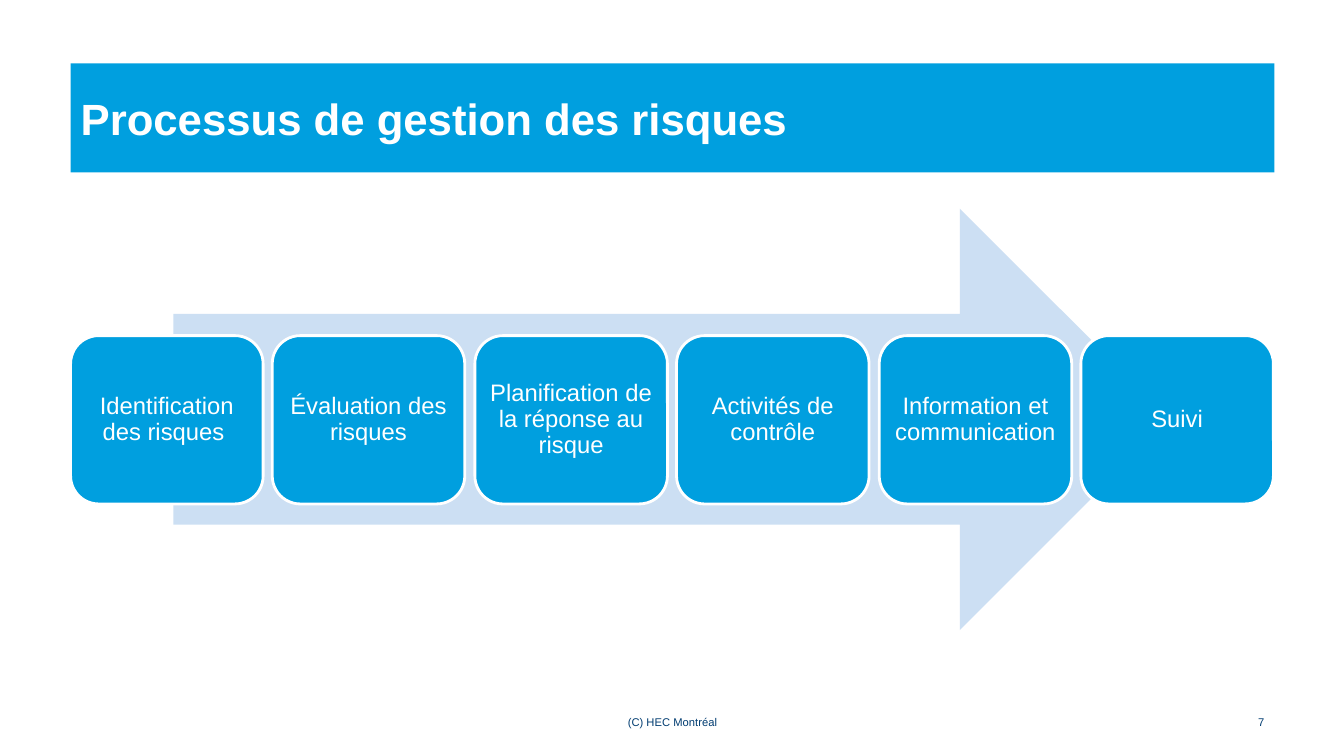
"""Build the risk management process slide."""
from dataclasses import dataclass

from pptx import Presentation
from pptx.dml.color import RGBColor
from pptx.enum.shapes import MSO_SHAPE
from pptx.enum.text import MSO_ANCHOR, MSO_AUTO_SIZE, PP_ALIGN
from pptx.shapes.autoshape import Shape
from pptx.slide import Slide
from pptx.util import Emu, Pt

EMU_PER_PX = 9144
COLORS = {"blue": "009FDF", "pale": "CCDFF3", "white": "FFFFFF", "navy": "003C71"}
STEPS = (
    "Identification des risques ",
    "Évaluation des risques",
    "Planification de la réponse au risque",
    "Activités de contrôle",
    "Information et communication",
    "Suivi",
)
STEPS_LEFT, STEPS_RIGHT, STEP_WIDTH = 70, 1263, 191


@dataclass(frozen=True)
class Box:
    left: int
    top: int
    width: int
    height: int

    def emu(self) -> tuple[Emu, Emu, Emu, Emu]:
        return (px(self.left), px(self.top), px(self.width), px(self.height))


@dataclass(frozen=True)
class FooterItem:
    text: str
    box: Box
    align: PP_ALIGN


FOOTER = (
    FooterItem("(C) HEC Montréal", Box(456, 707, 422, 18), PP_ALIGN.CENTER),
    FooterItem("7", Box(1196, 707, 68, 18), PP_ALIGN.RIGHT),
)


def px(length: int) -> Emu:
    return Emu(length * EMU_PER_PX)


def rgb(color: str) -> RGBColor:
    return RGBColor.from_string(COLORS[color])


def write(shape: Shape, text: str, *, size: float, color: str = "white",
          bold: bool = False, align: PP_ALIGN = PP_ALIGN.LEFT,
          line_spacing: float = 1.0, inset_x: int = 10, inset_y: int = 5) -> None:
    frame = shape.text_frame
    frame.text = text
    frame.word_wrap = True
    frame.auto_size = MSO_AUTO_SIZE.NONE
    frame.vertical_anchor = MSO_ANCHOR.MIDDLE
    frame.margin_left = frame.margin_right = px(inset_x)
    frame.margin_top = frame.margin_bottom = px(inset_y)
    paragraph = frame.paragraphs[0]
    paragraph.alignment = align
    paragraph.line_spacing = line_spacing
    font = paragraph.runs[0].font
    font.name, font.size, font.bold = "Arial", Pt(size), bold
    font.color.rgb = rgb(color)


def add_title(slide: Slide, text: str, box: Box) -> None:
    title = slide.shapes.title
    title.left, title.top, title.width, title.height = box.emu()
    title.fill.solid()
    title.fill.fore_color.rgb = rgb("blue")
    write(title, text, size=31.2, bold=True)


def add_filled(slide: Slide, preset: MSO_SHAPE, box: Box, fill: str) -> Shape:
    shape = slide.shapes.add_shape(preset, *box.emu())
    shape.shadow.inherit = False
    shape.fill.solid()
    shape.fill.fore_color.rgb = rgb(fill)
    shape.line.fill.background()
    return shape


def add_step(slide: Slide, text: str, box: Box) -> None:
    step = add_filled(slide, MSO_SHAPE.ROUNDED_RECTANGLE, box, "blue")
    step.line.color.rgb = rgb("white")
    step.line.width = Pt(2)
    write(step, text, size=17, align=PP_ALIGN.CENTER, line_spacing=0.9,
          inset_x=7, inset_y=7)


def add_footer(slide: Slide, item: FooterItem) -> None:
    footer = slide.shapes.add_textbox(*item.box.emu())
    write(footer, item.text, size=8, color="navy", align=item.align)


def main() -> None:
    deck = Presentation()
    deck.slide_width, deck.slide_height = px(1333), px(750)
    slide = deck.slides.add_slide(deck.slide_layouts[5])
    add_title(slide, "Processus de gestion des risques", Box(70, 63, 1194, 108))
    add_filled(slide, MSO_SHAPE.RIGHT_ARROW, Box(172, 207, 989, 418), "pale")
    travel = STEPS_RIGHT - STEP_WIDTH - STEPS_LEFT
    for index, text in enumerate(STEPS):
        left = STEPS_LEFT + round(index * travel / (len(STEPS) - 1))
        add_step(slide, text, Box(left, 333, STEP_WIDTH, 167))
    for item in FOOTER:
        add_footer(slide, item)
    deck.save("out.pptx")


if __name__ == "__main__":
    main()
